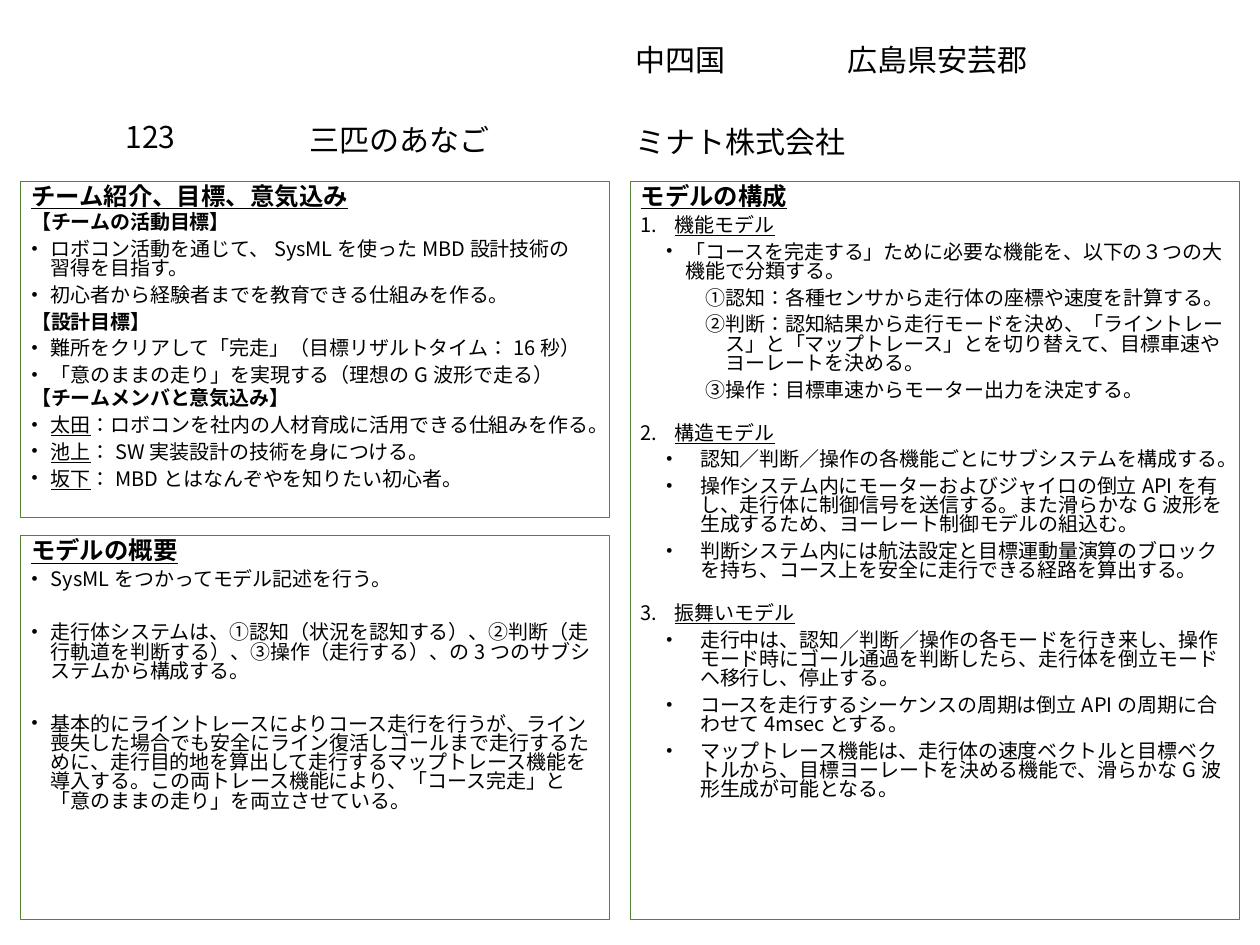
"""Build the team and model overview slide of a robot contest entry."""
from lxml import etree
from pptx import Presentation
from pptx.dml.color import RGBColor
from pptx.enum import shapes, text
from pptx.oxml import ns
from pptx.util import Cm, Pt

BLACK = RGBColor(0x00, 0x00, 0x00)
GREEN = RGBColor(0x54, 0x82, 0x35)
BODY_FONT, HEADING_FONT = "Noto Sans CJK JP", "Times New Roman"
HEADER_SIZE, HEADING_SIZE, BODY_SIZE = 24, 19.5, 16

HEADER = [
    ("123", 3.18, 3.12, 2.4, 1.47),
    ("ミナト株式会社", 17.58, 3.25, 12.4, 1.47),
    ("中四国", 17.58, 0.94, 4.8, 1.47),
    ("広島県安芸郡", 23.57, 0.94, 6.4, 1.47),
    ("三匹のあなご", 8.38, 3.33, 6.2, 1.24),
]

STYLES = {
    "heading": dict(size=HEADING_SIZE, font=HEADING_FONT, bold=True, underline=True, before=4),
    "lead": dict(bold=True, before=0, spacing=1.0),
    "label": dict(bold=True),
    "close label": dict(bold=True, before=3.2),
    "bullet": dict(left=0.56, hanging=0.56, bullet="•"),
    "spaced bullet": dict(left=0.56, hanging=0.56, bullet="•", before=27),
    "member": dict(left=0.56, hanging=0.56, bullet="•", underline=True),
    "number 1": dict(left=0.97, hanging=0.97, number=1, underline=True),
    "number 2": dict(left=0.97, hanging=0.97, number=2, underline=True, before=19),
    "number 3": dict(left=0.97, hanging=0.97, number=3, underline=True, before=19),
    "near point": dict(level=1, left=1.27, hanging=0.56, bullet="•"),
    "point": dict(level=1, left=1.68, hanging=0.97, bullet="•"),
    "step": dict(level=2, left=2.39, hanging=0.56),
}

PANELS = [
    ((17.78, 5.11, 17.2, 20.83), [
        ("heading", "モデルの構成"),
        ("number 1", "機能モデル"),
        ("near point", "「コースを完走する」ために必要な機能を、以下の３つの大機能で分類する。"),
        ("step", "①認知：各種センサから走行体の座標や速度を計算する。"),
        ("step", "②判断：認知結果から走行モードを決め、「ライントレース」と「マップトレース」とを"
                 "切り替えて、目標車速やヨーレートを決める。"),
        ("step", "③操作：目標車速からモーター出力を決定する。"),
        ("number 2", "構造モデル"),
        ("point", "認知／判断／操作の各機能ごとにサブシステムを構成する。"),
        ("point", "操作システム内にモーターおよびジャイロの倒立APIを有し、走行体に制御信号を送信する。"
                  "また滑らかなG波形を生成するため、ヨーレート制御モデルの組込む。"),
        ("point", "判断システム内には航法設定と目標運動量演算のブロックを持ち、"
                  "コース上を安全に走行できる経路を算出する。"),
        ("number 3", "振舞いモデル"),
        ("point", "走行中は、認知／判断／操作の各モードを行き来し、操作モード時にゴール通過を判断したら、"
                  "走行体を倒立モードへ移行し、停止する。"),
        ("point", "コースを走行するシーケンスの周期は倒立APIの周期に合わせて4msecとする。"),
        ("point", "マップトレース機能は、走行体の速度ベクトルと目標ベクトルから、"
                  "目標ヨーレートを決める機能で、滑らかなG波形生成が可能となる。"),
    ]),
    ((0.58, 5.11, 16.61, 9.5), [
        ("heading", "チーム紹介、目標、意気込み"),
        ("lead", "【チームの活動目標】"),
        ("bullet", "ロボコン活動を通じて、SysMLを使ったMBD設計技術の　習得を目指す。"),
        ("bullet", "初心者から経験者までを教育できる仕組みを作る。"),
        ("label", "【設計目標】"),
        ("bullet", "難所をクリアして「完走」（目標リザルトタイム：16秒）"),
        ("bullet", "「意のままの走り」を実現する（理想のG波形で走る）"),
        ("close label", "【チームメンバと意気込み】"),
        ("member", "太田", "：ロボコンを社内の人材育成に活用できる仕組みを作る。"),
        ("member", "池上", "：SW実装設計の技術を身につける。"),
        ("member", "坂下", "：MBDとはなんぞやを知りたい初心者。"),
    ]),
    ((0.58, 15.11, 16.61, 10.85), [
        ("heading", "モデルの概要"),
        ("bullet", "SysMLをつかってモデル記述を行う。"),
        ("spaced bullet", "走行体システムは、①認知（状況を認知する）、②判断（走行軌道を判断する）、"
                          "③操作（走行する）、の3つのサブシステムから構成する。"),
        ("spaced bullet", "基本的にライントレースによりコース走行を行うが、ライン喪失した場合でも安全に"
                          "ライン復活しゴールまで走行するために、走行目的地を算出して走行する"
                          "マップトレース機能を導入する。この両トレース機能により、"
                          "「コース完走」と「意のままの走り」を両立させている。"),
    ]),
]


def write(paragraph, words, rest="", size=BODY_SIZE, font=BODY_FONT, bold=False,
          underline=False, before=6, spacing=0.8, level=0, left=0, hanging=0,
          bullet=None, number=None):
    paragraph.alignment = text.PP_ALIGN.LEFT
    paragraph.level = level
    paragraph.line_spacing = spacing
    paragraph.space_before = Pt(before)
    properties = paragraph._p.get_or_add_pPr()
    properties.set("marL", str(Cm(left)))
    properties.set("indent", str(-Cm(hanging)))
    if bullet:
        etree.SubElement(properties, ns.qn("a:buFont")).set("typeface", HEADING_FONT)
        etree.SubElement(properties, ns.qn("a:buChar")).set("char", bullet)
    elif number:
        numbering = etree.SubElement(properties, ns.qn("a:buAutoNum"))
        numbering.set("type", "arabicPeriod")
        numbering.set("startAt", str(number))
    for content, underlined in ((words, underline), (rest, False)):
        if content:
            run = paragraph.add_run()
            run.text = content
            run.font.size = Pt(size)
            run.font.name = font
            run.font.bold = bold
            run.font.underline = underlined
            run.font.color.rgb = BLACK
            run_properties = run._r.get_or_add_rPr()
            run_properties.set("lang", "ja-JP")
            etree.SubElement(run_properties, ns.qn("a:ea")).set("typeface", BODY_FONT)


def set_frame(frame, horizontal, vertical, anchor, wrap):
    frame.margin_left = frame.margin_right = Cm(horizontal)
    frame.margin_top = frame.margin_bottom = Cm(vertical)
    frame.vertical_anchor = anchor
    frame.word_wrap = wrap


def add_header(slide, words, *box):
    frame = slide.shapes.add_textbox(*map(Cm, box)).text_frame
    set_frame(frame, 0.36, 0.18, text.MSO_ANCHOR.MIDDLE, False)
    write(frame.paragraphs[0], words, size=HEADER_SIZE, before=0, spacing=1.0)


def add_panel(slide, box, lines):
    panel = slide.shapes.add_shape(shapes.MSO_SHAPE.RECTANGLE, *map(Cm, box))
    panel.shadow.inherit = False
    panel.fill.background()
    panel.line.color.rgb = GREEN
    panel.line.width = Pt(0.75)
    frame = panel.text_frame
    set_frame(frame, 0.3, 0.15, text.MSO_ANCHOR.TOP, True)
    for index, (style, *words) in enumerate(lines):
        paragraph = frame.add_paragraph() if index else frame.paragraphs[0]
        write(paragraph, *words, **STYLES[style])


def main():
    presentation = Presentation()
    presentation.slide_width, presentation.slide_height = Cm(35.56), Cm(26.67)
    slide = presentation.slides.add_slide(presentation.slide_layouts[6])
    for entry in HEADER:
        add_header(slide, *entry)
    for box, lines in PANELS:
        add_panel(slide, box, lines)
    presentation.save("out.pptx")


if __name__ == "__main__":
    main()
